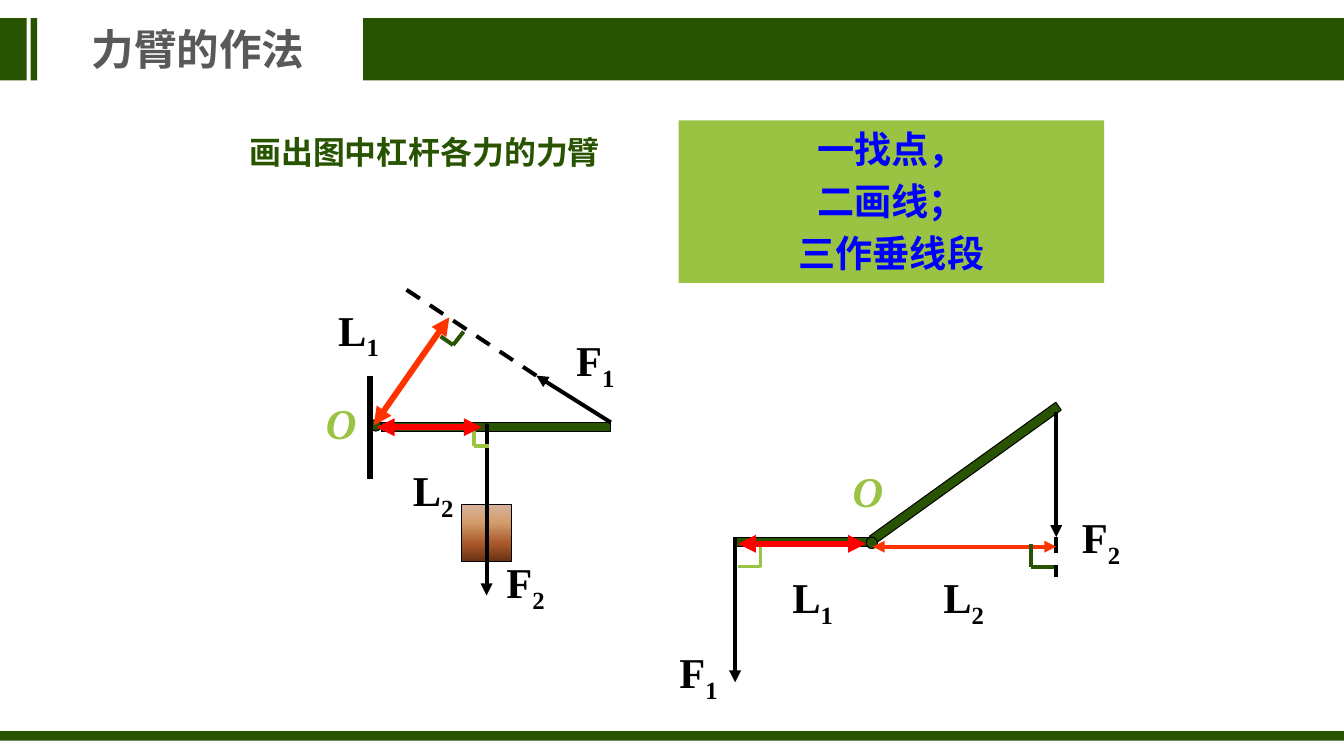
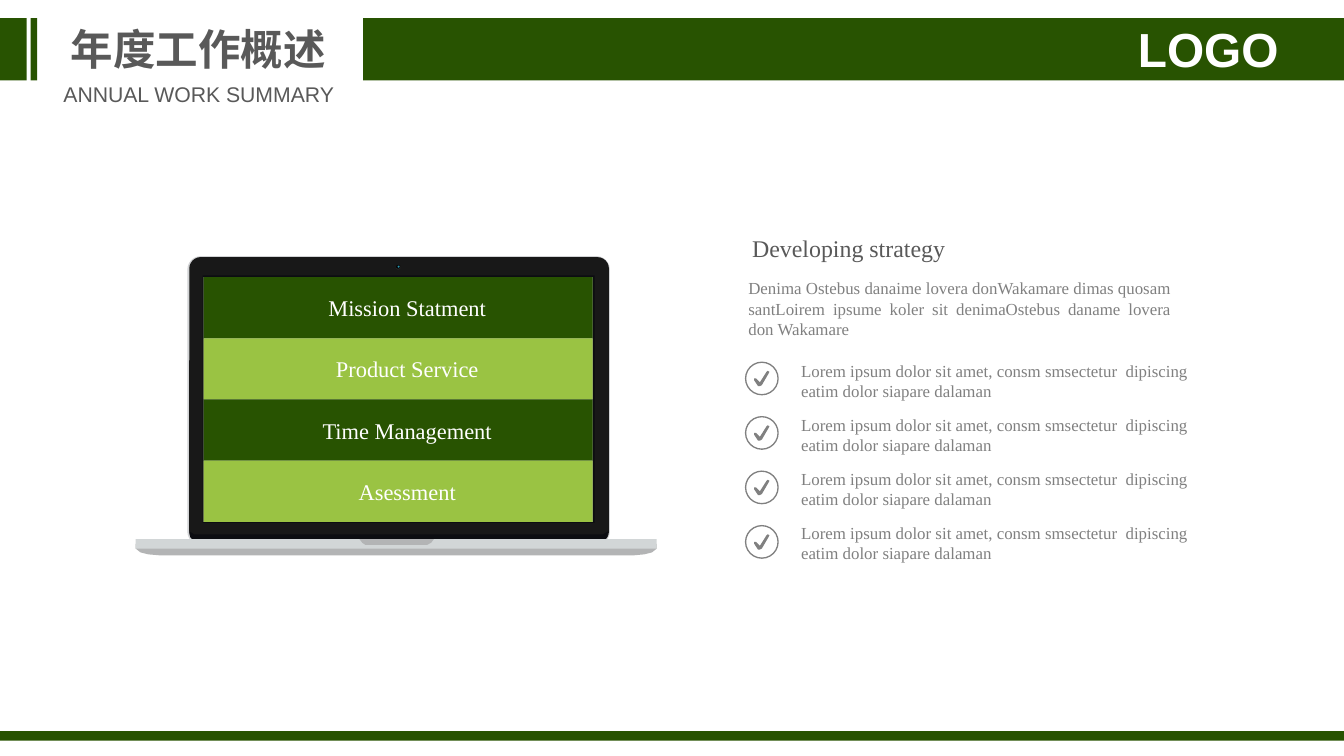
from dataclasses import dataclass
from typing import Optional

from lxml import etree
from pptx import Presentation
from pptx.dml.color import RGBColor
from pptx.enum.dml import MSO_LINE
from pptx.enum.shapes import MSO_CONNECTOR, MSO_SHAPE
from pptx.enum.text import MSO_ANCHOR, MSO_AUTO_SIZE, PP_ALIGN
from pptx.oxml.ns import qn
from pptx.shapes.autoshape import Shape
from pptx.shapes.connector import Connector
from pptx.slide import Slide
from pptx.text.text import TextFrame, _Paragraph
from pptx.util import Emu, Pt

RECT, OVAL, ROUNDED = MSO_SHAPE.RECTANGLE, MSO_SHAPE.OVAL, MSO_SHAPE.ROUNDED_RECTANGLE
STRAIGHT, DASH = MSO_CONNECTOR.STRAIGHT, MSO_LINE.DASH
LEFT, CENTER, JUSTIFY = PP_ALIGN.LEFT, PP_ALIGN.CENTER, PP_ALIGN.JUSTIFY
TOP, MIDDLE = MSO_ANCHOR.TOP, MSO_ANCHOR.MIDDLE
FIT_SHAPE, NO_FIT = MSO_AUTO_SIZE.SHAPE_TO_FIT_TEXT, MSO_AUTO_SIZE.NONE

DARK_GREEN = RGBColor(0x28, 0x53, 0x01)
LIME = RGBColor(0x9A, 0xC3, 0x43)
BLACK = RGBColor(0, 0, 0)
WHITE = RGBColor(255, 255, 255)
GREY = RGBColor(0x80, 0x80, 0x80)
TITLE_GREY = RGBColor(0x59, 0x59, 0x59)
BLUE = RGBColor(0, 0, 255)
RED = RGBColor(255, 0, 0)
ORANGE = RGBColor(0xFF, 0x33, 0)
BASE_GREY = RGBColor(0xB3, 0xB4, 0xB5)
RIM_GREY = RGBColor(0xD2, 0xD3, 0xD5)
DECK_GREY = RGBColor(0xD2, 0xD6, 0xD7)
SCREEN_GREY = RGBColor(0xC6, 0xC6, 0xC6)
LID_BLACK = RGBColor(0x18, 0x18, 0x18)
BEZEL_BLACK = RGBColor(0x0C, 0x0D, 0x11)
LENS_GREY = RGBColor(0x2C, 0x2C, 0x2C)
LENS_BLACK = RGBColor(0x0A, 0x0A, 0x0A)
LENS_BLUE = RGBColor(0x2C, 0x99, 0xB4)
COPPER = ((0, "D6B19C"), (30, "D49E6C"), (70, "A65528"), (100, "663012"))

SANS, CJK, SERIF = "Arial", "Noto Sans CJK SC", "Times New Roman"
EMU_PER_PX = 9144
SLIDE_W, SLIDE_H = 1406, 791

Box = tuple[int, int, int, int]
Point = tuple[int, int]


@dataclass(frozen=True)
class Typeface:
    size: float
    color: RGBColor
    font: str = SERIF
    bold: bool = False
    italic: bool = False


@dataclass(frozen=True)
class Label:
    text: str
    box: Box
    face: Typeface
    subscript: str = ""
    align: PP_ALIGN = LEFT
    anchor: MSO_ANCHOR = TOP
    wrap: bool = False
    inset: bool = True


@dataclass(frozen=True)
class Block:
    box: Box
    fill: RGBColor
    kind: MSO_SHAPE = RECT
    line: Optional[RGBColor] = None
    width: float = 0.75
    rotation: float = 0
    radius: int = 0


@dataclass(frozen=True)
class Stroke:
    start: Point
    end: Point
    color: RGBColor = BLACK
    width: float = 3
    head: bool = False
    tail: bool = False
    dashed: bool = False


TITLE = Typeface(32, TITLE_GREY, SANS, bold=True)
PROMPT = Typeface(24, DARK_GREEN, CJK, bold=True)
STEPS = Typeface(28, BLUE, CJK, bold=True)
SYMBOL = Typeface(32, BLACK, bold=True)
FULCRUM = Typeface(32, LIME, bold=True, italic=True)
SMALL = Typeface(12.7, GREY)
SEGMENT = Typeface(16.9, WHITE)

BANDS = (
    Block((380, 19, 1026, 65), DARK_GREEN),
    Block((0, 19, 28, 65), DARK_GREEN),
    Block((32, 19, 7, 65), DARK_GREEN),
    Block((0, 765, SLIDE_W, 10), DARK_GREEN),
)
LEVERS = (
    Block((387, 439, 12, 12), DARK_GREEN, OVAL, BLACK),
    Block((399, 442, 240, 10), DARK_GREEN, line=BLACK),
    Block((769, 562, 144, 10), DARK_GREEN, line=BLACK),
    Block((890, 490, 240, 10), DARK_GREEN, line=BLACK, rotation=324.3),
    Block((906, 562, 12, 12), DARK_GREEN, OVAL, BLACK),
)
LOAD = Block((483, 528, 52, 60), LIME, line=BLACK)
ROPE = Stroke((509, 442), (509, 528), width=0.75)
FORCES = (
    Stroke((387, 393), (387, 501), width=4.5),
    Stroke((639, 442), (561, 393), tail=True),
    Stroke((769, 562), (769, 714), tail=True),
    Stroke((1105, 431), (1105, 562), tail=True),
    Stroke((561, 393), (422, 301), dashed=True),
    Stroke((470, 332), (391, 445), ORANGE, 4.5, head=True, tail=True),
    Stroke((509, 444), (509, 623), tail=True),
    Stroke((1105, 562), (1105, 604), dashed=True),
    Stroke((913, 572), (1105, 572), ORANGE, head=True, tail=True),
)
RIGHT_ANGLES = (
    ((461, 352), (474, 361), (485, 347), DARK_GREEN, 3),
    ((496, 451), (496, 467), (512, 467), LIME, 3),
    ((772, 593), (796, 593), (796, 569), LIME, 2.25),
    ((1079, 569), (1079, 593), (1103, 593), DARK_GREEN, 3),
)
RED_ARMS = (
    Stroke((394, 447), (504, 447), RED, 4.5, head=True, tail=True),
    Stroke((906, 569), (772, 569), RED, 4.5, head=True, tail=True),
)
SYMBOLS = (
    ("F", "1", 593, 345), ("F", "2", 520, 577), ("L", "1", 344, 313), ("L", "2", 422, 481),
    ("F", "1", 701, 671), ("F", "2", 1122, 530), ("L", "1", 819, 593), ("L", "2", 977, 593),
)
FULCRUMS = ((331, 411), (882, 482))

LID = (
    Block((196, 268, 442, 302), RIM_GREY, ROUNDED, radius=14),
    Block((198, 269, 439, 299), LID_BLACK, ROUNDED, radius=12),
)
SCREEN = (
    Block((142, 564, 545, 10), DECK_GREY),
    Block((212, 288, 410, 259), BEZEL_BLACK),
    Block((213, 290, 407, 256), SCREEN_GREY),
    Block((414, 277, 5, 5), LENS_GREY, OVAL),
    Block((414, 277, 5, 4), LENS_BLACK, OVAL),
    Block((415, 278, 3, 3), BLACK, OVAL),
    Block((416, 278, 2, 2), LENS_BLUE, OVAL),
)
BASE = ((142, 569), (687, 569), (687, 574), (682, 578), (674, 580), (663, 581),
        (167, 581), (155, 580), (147, 578), (142, 574))
CHIN = ((198, 556), (203, 559), (631, 559), (636, 556), (635, 562), (631, 566),
        (624, 568), (210, 568), (203, 566), (199, 562))
NOTCH = ((376, 564), (454, 564), (451, 568), (447, 570), (382, 570), (379, 568))
TICK = ((4, 16), (0, 10), (0, 8), (2, 8), (6, 12), (13, 1), (14, 0), (16, 1), (15, 3),
        (8, 15), (6, 16))
SEGMENTS = ("Mission Statment", "Product Service", "Time Management", "Asessment")
SEGMENT_H, CHECK_PITCH = 64, 57
CHECK_TEXT = "Lorem ipsum dolor sit amet, consm smsectetur  dipiscing eatim dolor siapare dalaman"
CHECKS = (CHECK_TEXT,) * 4


def px(length: int) -> Emu:
    return Emu(length * EMU_PER_PX)


def place(shape: Shape, box: Box) -> None:
    shape.left, shape.top, shape.width, shape.height = map(px, box)


def set_face(paragraph: _Paragraph, face: Typeface) -> None:
    font = paragraph.font
    font.name, font.size, font.bold, font.italic = face.font, Pt(face.size), face.bold, face.italic
    font.color.rgb = face.color
    defaults = paragraph._p.pPr.find(qn("a:defRPr"))
    etree.SubElement(defaults, qn("a:ea"), typeface=CJK)


def set_frame(frame: TextFrame, wrap: bool, anchor: MSO_ANCHOR, inset: bool = True) -> None:
    frame.word_wrap, frame.vertical_anchor = wrap, anchor
    if not inset:
        frame.margin_left = frame.margin_top = frame.margin_right = frame.margin_bottom = 0


def draw_label(slide: Slide, label: Label) -> None:
    frame = slide.shapes.add_textbox(*map(px, label.box)).text_frame
    set_frame(frame, label.wrap, label.anchor, label.inset)
    frame.auto_size = FIT_SHAPE
    paragraph = frame.paragraphs[0]
    paragraph.alignment = label.align
    paragraph.add_run().text = label.text
    if label.subscript:
        index = paragraph.add_run()
        index.text = label.subscript
        index._r.get_or_add_rPr().set("baseline", "-25000")
    set_face(paragraph, label.face)


def draw_block(slide: Slide, block: Block) -> Shape:
    shape = slide.shapes.add_shape(block.kind, *map(px, block.box))
    paint(shape, block.fill)
    if block.line is not None:
        shape.line.color.rgb, shape.line.width = block.line, Pt(block.width)
    if block.radius:
        shape.adjustments[0] = block.radius / min(block.box[2:])
    shape.rotation = block.rotation
    return shape


def paint(shape: Shape, color: RGBColor) -> None:
    shape.shadow.inherit = False
    shape.fill.solid()
    shape.fill.fore_color.rgb = color
    shape.line.fill.background()


def draw_outline(slide: Slide, points: tuple[Point, ...], color: RGBColor,
                 origin: Point = (0, 0)) -> None:
    builder = slide.shapes.build_freeform(*points[0], scale=EMU_PER_PX)
    builder.add_line_segments(points[1:], close=True)
    paint(builder.convert_to_shape(*map(px, origin)), color)


def draw_stroke(slide: Slide, stroke: Stroke) -> Connector:
    connector = slide.shapes.add_connector(STRAIGHT, *map(px, stroke.start + stroke.end))
    connector.line.color.rgb, connector.line.width = stroke.color, Pt(stroke.width)
    if stroke.dashed:
        connector.line.dash_style = DASH
    properties = connector._element.spPr
    outline = properties.find(qn("a:ln"))
    for shown, tag in ((stroke.head, "a:headEnd"), (stroke.tail, "a:tailEnd")):
        if shown:
            etree.SubElement(outline, qn(tag), type="triangle")
    etree.SubElement(properties, qn("a:effectLst"))
    return connector


def draw_load(slide: Slide) -> None:
    load = draw_block(slide, LOAD)
    load.fill.gradient()
    load.fill.gradient_angle = 270
    stops = load._element.spPr.find(qn("a:gradFill")).find(qn("a:gsLst"))
    for stop in list(stops):
        stops.remove(stop)
    for percent, color in COPPER:
        stop = etree.SubElement(stops, qn("a:gs"), pos=str(percent * 1000))
        etree.SubElement(stop, qn("a:srgbClr"), val=color)
    draw_stroke(slide, ROPE).end_connect(load, 0)


def fill_list(slide: Slide, items: tuple[str, ...], box: Box, face: Typeface, align: PP_ALIGN,
              gap: float, line_height: float = 0) -> Shape:
    body = slide.placeholders[1]
    place(body, box)
    frame = body.text_frame
    set_frame(frame, True, TOP, inset=False)
    frame.auto_size = NO_FIT
    for number, item in enumerate(items):
        paragraph = frame.add_paragraph() if number else frame.paragraphs[0]
        paragraph.text = item
        properties = paragraph._p.get_or_add_pPr()
        properties.set("marL", "0")
        properties.set("indent", "0")
        etree.SubElement(properties, qn("a:buNone"))
        paragraph.alignment = align
        paragraph.space_before = Pt(gap if number else 0)
        if line_height:
            paragraph.line_spacing = Pt(line_height)
        set_face(paragraph, face)
    return body


def add_framed_slide(prs: Presentation, heading: str, box: Box) -> Slide:
    slide = prs.slides.add_slide(prs.slide_layouts[1])
    for band in BANDS:
        draw_block(slide, band)
    title = slide.shapes.title
    place(title, box)
    title.text_frame.text = heading
    set_frame(title.text_frame, False, MIDDLE)
    title.text_frame.auto_size = NO_FIT
    title.text_frame.paragraphs[0].alignment = CENTER
    set_face(title.text_frame.paragraphs[0], TITLE)
    return slide


def build_lever_slide(prs: Presentation) -> None:
    slide = add_framed_slide(prs, "力臂的作法", (85, 19, 245, 64))
    steps = fill_list(slide, ("一找点，", "二画线；", "三作垂线段"), (710, 126, 445, 170),
                      STEPS, CENTER, gap=1.8, line_height=37.7)
    steps.fill.solid()
    steps.fill.fore_color.rgb = LIME
    draw_label(slide, Label("画出图中杠杆各力的力臂", (251, 134, 392, 50), PROMPT, anchor=MIDDLE))
    for part in LEVERS:
        draw_block(slide, part)
    draw_load(slide)
    for force in FORCES:
        draw_stroke(slide, force)
    for start, corner, end, color, width in RIGHT_ANGLES:
        draw_stroke(slide, Stroke(start, corner, color, width))
        draw_stroke(slide, Stroke(corner, end, color, width))
    for arm in RED_ARMS:
        draw_stroke(slide, arm)
    for letter, index, left, top in SYMBOLS:
        draw_label(slide, Label(letter, (left, top, 63, 63), SYMBOL, subscript=index))
    for left, top in FULCRUMS:
        draw_label(slide, Label("O", (left, top, 52, 63), FULCRUM))


def draw_laptop(slide: Slide) -> None:
    draw_outline(slide, BASE, BASE_GREY)
    for part in LID:
        draw_block(slide, part)
    draw_outline(slide, CHIN, BEZEL_BLACK)
    for part in SCREEN:
        draw_block(slide, part)
    draw_outline(slide, NOTCH, BASE_GREY)
    for row, name in enumerate(SEGMENTS):
        box = (213, 290 + row * SEGMENT_H, 407, SEGMENT_H)
        segment = draw_block(slide, Block(box, LIME if row % 2 else DARK_GREEN))
        frame = segment.text_frame
        set_frame(frame, True, MIDDLE)
        frame.margin_left = px(29)
        frame.text = name
        frame.paragraphs[0].alignment = CENTER
        set_face(frame.paragraphs[0], SEGMENT)


def build_summary_slide(prs: Presentation) -> None:
    slide = add_framed_slide(prs, "年度工作概述", (63, 19, 289, 64))
    fill_list(slide, CHECKS, (838, 377, 406, 215), SMALL, LEFT, gap=10.2)
    for row in range(len(CHECKS)):
        top = 379 + row * CHECK_PITCH
        draw_block(slide, Block((780, top, 34, 34), WHITE, OVAL, GREY, 1))
        draw_outline(slide, TICK, GREY, (789, top + 9))
    draw_laptop(slide)
    for label in (
        Label("Denima Ostebus danaime lovera donWakamare dimas quosam santLoirem ipsume koler "
              "sit denimaOstebus daname lovera don Wakamare", (773, 286, 462, 74), SMALL,
              align=JUSTIFY, wrap=True),
        Label("Developing strategy", (777, 239, 224, 40), Typeface(18, TITLE_GREY)),
        Label("LOGO", (1160, 21, 208, 61), Typeface(36, WHITE, SANS, bold=True),
              align=CENTER, wrap=True, inset=False),
        Label("ANNUAL WORK SUMMARY", (55, 80, 306, 37), Typeface(16, TITLE_GREY, SANS),
              align=CENTER),
    ):
        draw_label(slide, label)


def main() -> None:
    prs = Presentation()
    prs.slide_width, prs.slide_height = px(SLIDE_W), px(SLIDE_H)
    build_lever_slide(prs)
    build_summary_slide(prs)
    prs.save("out.pptx")


if __name__ == "__main__":
    main()
